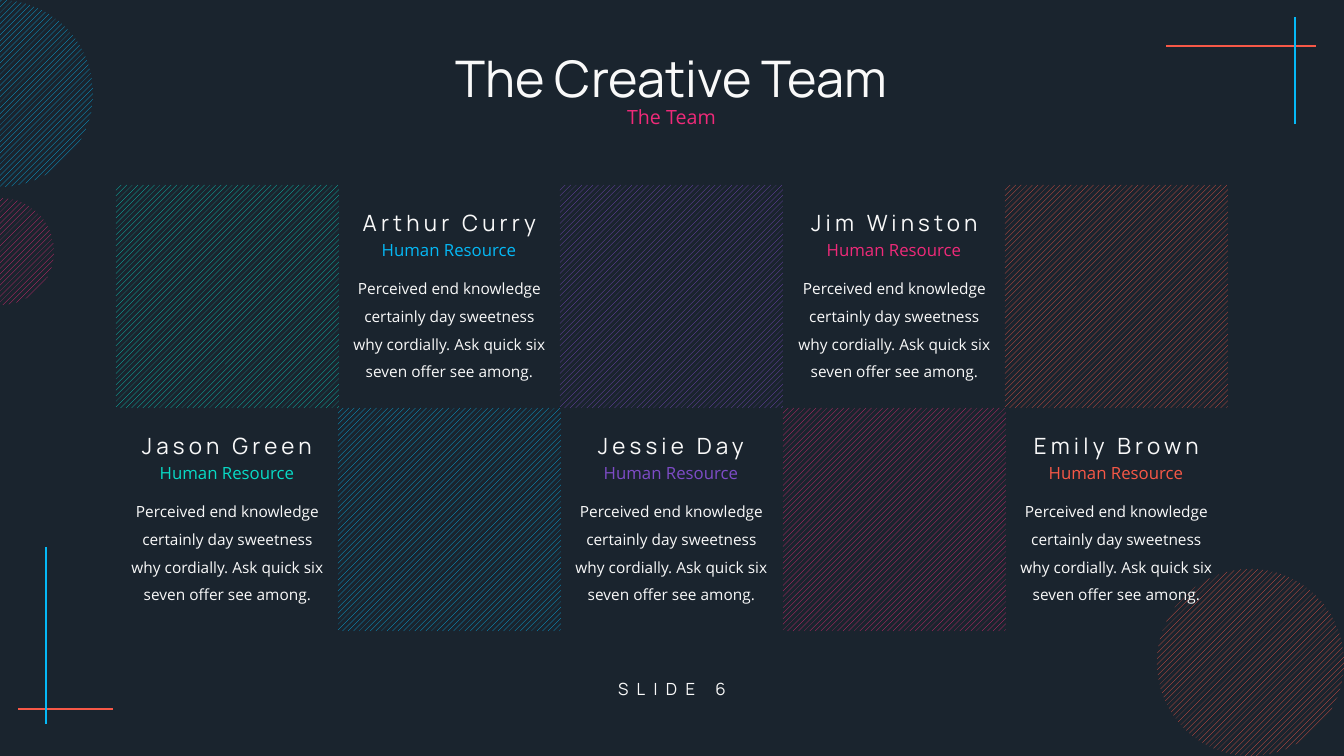
"""Build the team slide: a checkerboard of hatched tiles and member profiles."""
from dataclasses import dataclass

from lxml import etree
from pptx import Presentation
from pptx import util as u
from pptx.dml.color import RGBColor
from pptx.enum import dml, shapes, text
from pptx.oxml.ns import qn

PX = 12192000 / 1344
COLORS = {
    "ground": "1A242E",
    "white": "F9F9F9",
    "red": "F75847",
    "blue": "05B9F6",
    "pink": "EF2A79",
    "teal": "08DAC6",
    "violet": "7E4CC7",
}
HEADING, BODY = "Manrope", "Open Sans"
GRID_LEFT, GRID_TOP, GRID_WIDTH, COLUMNS = 116, 185, 1112, 5
TILE = 223
ROLE = "Human Resource"
BIO = ("Perceived end knowledge certainly day sweetness why cordially. "
       "Ask quick six seven offer see among.")


@dataclass(frozen=True)
class Bar:
    x1: int
    y1: int
    x2: int
    y2: int
    color: str


@dataclass(frozen=True)
class Disc:
    left: int
    top: int
    size: int
    color: str


@dataclass(frozen=True)
class Member:
    name: str
    name_width: int
    color: str


@dataclass(frozen=True)
class Style:
    font: str
    size: int
    color: str
    tracking: int = 0
    line_spacing: float = 1.0
    space_before: int = 0


BARS = [
    Bar(1166, 46, 1316, 46, "red"),
    Bar(1295, 124, 1295, 17, "blue"),
    Bar(113, 709, 18, 709, "red"),
    Bar(46, 547, 46, 724, "blue"),
]
DISCS = [
    Disc(1157, 569, 187, "red"),
    Disc(-53, 198, 107, "pink"),
    Disc(-94, 0, 187, "blue"),
]
MEMBERS = [
    Member("Jason Green", 210, "teal"),
    Member("Arthur Curry", 207, "blue"),
    Member("Jessie Day", 182, "violet"),
    Member("Jim Winston", 205, "pink"),
    Member("Emily Brown", 201, "red"),
]


def px(length: int) -> u.Emu:
    """Turn pixels into EMU."""
    return u.Emu(round(length * PX))


def rgb(name: str) -> RGBColor:
    """Look up a named colour."""
    return RGBColor.from_string(COLORS[name])


def add_bar(page, bar: Bar) -> None:
    """Draw one straight accent line."""
    line = page.shapes.add_connector(
        shapes.MSO_CONNECTOR.STRAIGHT, px(bar.x1), px(bar.y1), px(bar.x2), px(bar.y2))
    line.line.color.rgb = rgb(bar.color)
    line.line.width = u.Pt(2)
    etree.SubElement(line._element.spPr, qn("a:effectLst"))


def add_hatched(page, kind, left: int, top: int, size: int, color: str) -> None:
    """Draw a square-framed shape with a diagonal hatch and no outline."""
    shape = page.shapes.add_shape(kind, px(left), px(top), px(size), px(size))
    shape.shadow.inherit = False
    shape.fill.patterned()
    shape.fill.pattern = dml.MSO_PATTERN.WIDE_UPWARD_DIAGONAL
    shape.fill.fore_color.rgb = rgb(color)
    shape.fill.back_color.rgb = rgb("ground")
    shape.line.fill.background()


def write(box, words: str, style: Style) -> None:
    """Fill a box with one centred, styled paragraph."""
    para = box.text_frame.paragraphs[0]
    para.alignment = text.PP_ALIGN.CENTER
    para.line_spacing = style.line_spacing
    para.space_before = u.Pt(style.space_before)
    para.font.name = style.font
    para.font.size = u.Pt(style.size)
    para.font.color.rgb = rgb(style.color)
    span = para.add_run()
    span.text = words
    if style.tracking:
        span._r.get_or_add_rPr().set("spc", str(style.tracking * 100))


def add_text(page, left: int, top: int, width: int, height: int, words: str,
             style: Style, wrap: bool = True, middle: bool = False) -> None:
    """Add a text box holding one paragraph."""
    box = page.shapes.add_textbox(px(left), px(top), px(width), px(height))
    box.text_frame.word_wrap = wrap
    if middle:
        box.text_frame.vertical_anchor = text.MSO_ANCHOR.MIDDLE
    else:
        box.text_frame.auto_size = text.MSO_AUTO_SIZE.SHAPE_TO_FIT_TEXT
    write(box, words, style)


def set_title(page, words: str) -> None:
    """Place and format the title placeholder."""
    title = page.shapes.title
    title.left, title.top, title.width, title.height = px(45), px(49), px(1253), px(65)
    title.text_frame.word_wrap = True
    title.text_frame.auto_size = text.MSO_AUTO_SIZE.NONE
    title.text_frame.vertical_anchor = text.MSO_ANCHOR.MIDDLE
    write(title, words, Style(HEADING, 36, "white", line_spacing=0.9, space_before=10))


def add_member(page, column: int, member: Member) -> None:
    """Draw a member's tile and profile, swapping their rows on odd columns."""
    left = GRID_LEFT + GRID_WIDTH * column // COLUMNS
    tile_row = column % 2
    tile_top = GRID_TOP + TILE * tile_row
    top = GRID_TOP + TILE * (1 - tile_row)
    add_hatched(page, shapes.MSO_SHAPE.RECTANGLE, left, tile_top, TILE, member.color)
    add_text(page, left + (TILE - member.name_width) // 2, top + 19, member.name_width, 37,
             member.name, Style(HEADING, 16, "white", tracking=3), wrap=False)
    add_text(page, left + (TILE - 156) // 2, top + 50, 156, 30,
             ROLE, Style(BODY, 12, member.color), wrap=False)
    add_text(page, left, top + 80, TILE, 122,
             BIO, Style(BODY, 11, "white", line_spacing=1.5))


def main() -> None:
    """Build and save the deck."""
    deck = Presentation()
    deck.slide_width, deck.slide_height = px(1344), px(756)
    page = deck.slides.add_slide(deck.slide_layouts.get_by_name("Title Only"))
    page.background.fill.solid()
    page.background.fill.fore_color.rgb = rgb("ground")
    for bar in BARS:
        add_bar(page, bar)
    for disc in DISCS:
        add_hatched(page, shapes.MSO_SHAPE.OVAL, disc.left, disc.top, disc.size, disc.color)
    add_text(page, 567, 668, 210, 41, "SLIDE 6",
             Style(HEADING, 12, "white", tracking=6), middle=True)
    set_title(page, "The Creative Team")
    add_text(page, 45, 86, 1253, 65, "The Team",
             Style(BODY, 14, "pink", line_spacing=0.9, space_before=10), middle=True)
    for column, member in enumerate(MEMBERS):
        add_member(page, column, member)
    deck.save("out.pptx")


if __name__ == "__main__":
    main()
